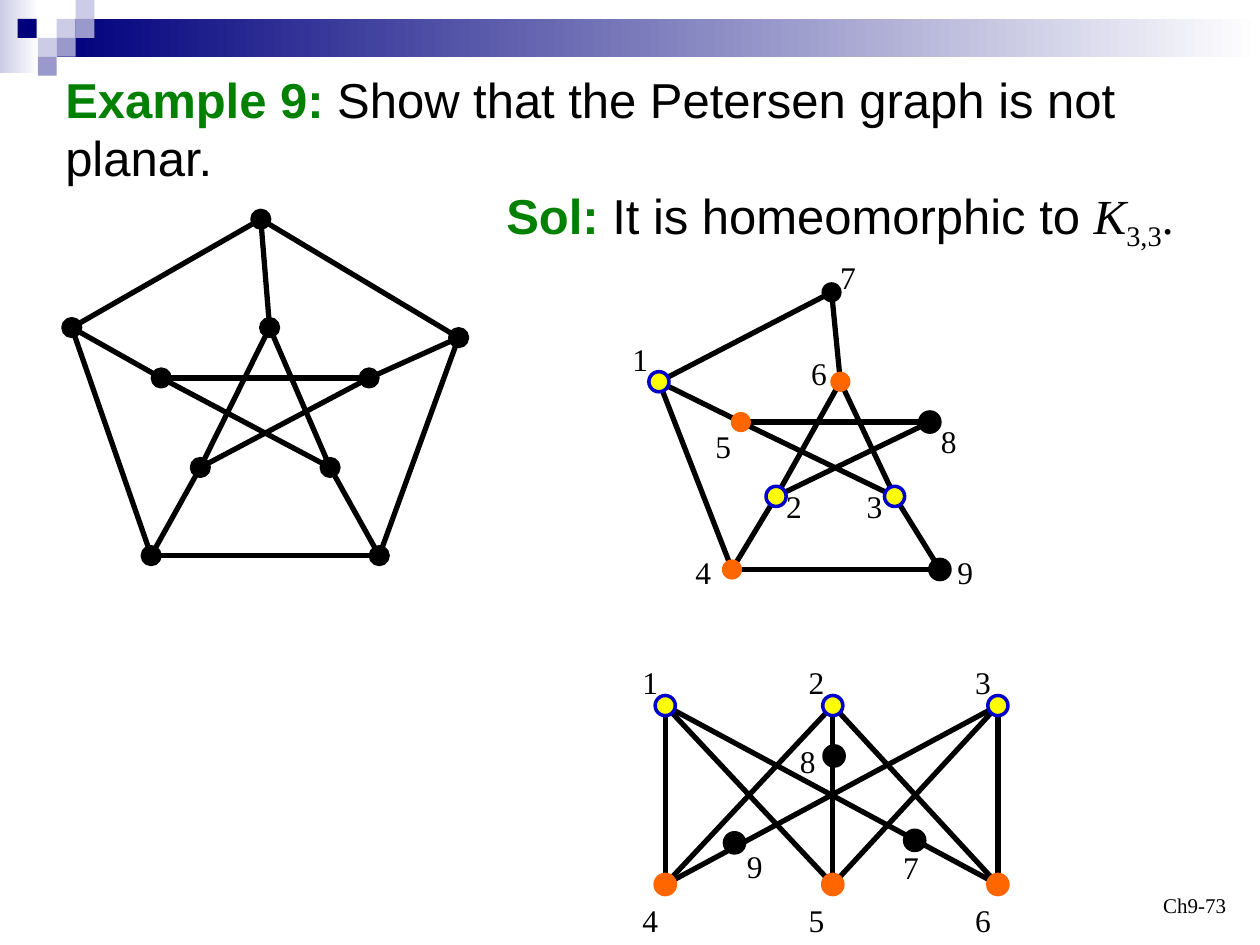
from itertools import product

from lxml.etree import SubElement
from pptx import Presentation
from pptx.dml.color import RGBColor
from pptx.enum.shapes import MSO_CONNECTOR, MSO_SHAPE
from pptx.enum.text import MSO_ANCHOR, PP_ALIGN
from pptx.oxml.ns import qn
from pptx.util import Inches, Pt

BLACK = RGBColor(0, 0, 0)
WHITE = RGBColor(255, 255, 255)
GREEN = RGBColor(0, 0x80, 0)
YELLOW = RGBColor(0xFF, 0xFF, 0)
BLUE = RGBColor(0, 0, 0xCC)
ORANGE = RGBColor(0xFF, 0x66, 0)
NAVY = RGBColor(0, 0, 0x7D)
PALE = RGBColor(0xCC, 0xCC, 0xE6)
LILAC = RGBColor(0x99, 0x99, 0xCC)
SANS, SERIF = "Arial", "Times New Roman"

# Header: left, top, width, height, start colour of the fade to white
BANDS = [(0, 0, 0.31, 0.58, PALE), (0.45, 0.15, 9.55, 0.3, NAVY)]
TILE = 0.15
TILES = [(0.45, 0.15, PALE), (0.6, 0, PALE), (0.6, 0.15, LILAC),
         (0.3, 0.3, PALE), (0.14, 0.15, NAVY), (0.45, 0.3, LILAC),
         (0.3, 0.45, LILAC)]

# Text runs: words, font, colour, bold, italic, baseline
TITLE = [("Example 9:", SANS, GREEN, True, False, 0),
         (" Show that the Petersen graph is not planar.",
          SANS, BLACK, False, False, 0)]
ANSWER = [("Sol: ", SANS, GREEN, True, False, 0),
          ("It is homeomorphic to ", SANS, BLACK, False, False, 0),
          ("K", SERIF, BLACK, False, True, 0),
          ("3,3", SERIF, BLACK, False, False, -25000),
          (".", SERIF, BLACK, False, False, 0)]

# Node styles: fill, outline
DARK, PLAIN = (BLACK, BLACK), (BLACK, None)
LIGHT = (YELLOW, BLUE)
WARM, RIMMED = (ORANGE, None), (ORANGE, ORANGE)

# Petersen graph, node centres clockwise from the top
OUTER = [(2.07, 1.74), (3.64, 2.68), (3.01, 4.41), (1.2, 4.41), (0.57, 2.6)]
INNER = [(2.14, 2.6), (2.93, 3), (2.62, 3.71), (1.59, 3.71), (1.28, 3)]

# Labelled graphs: name -> centre, style, corner of the label box
SUB = {
    "1": ((5.23, 3.03), LIGHT, (4.92, 2.65)),
    "2": ((6.16, 3.94), LIGHT, (6.14, 3.82)),
    "3": ((7.1, 3.94), LIGHT, (6.78, 3.82)),
    "4": ((5.81, 4.52), WARM, (5.42, 4.34)),
    "5": ((5.88, 3.35), WARM, (5.58, 3.34)),
    "6": ((6.67, 3.03), WARM, (6.34, 2.76)),
    "7": ((6.6, 2.32), PLAIN, (6.57, 2)),
    "8": ((7.38, 3.35), DARK, (7.37, 3.3)),
    "9": ((7.46, 4.52), DARK, (7.5, 4.34)),
}
SUB_EDGES = ["17", "76", "15", "14", "58", "53",
             "62", "63", "82", "24", "39", "49"]

COLS, TOP, BASE = (5.28, 6.61, 7.92), 5.6, 7.02
TAGS = (5, 6.32, 7.64)
K33 = {
    "7": ((7.26, 6.67), DARK, (7.07, 6.68)),
    "8": ((6.62, 6), DARK, (6.25, 5.84)),
    "9": ((5.83, 6.69), DARK, (5.83, 6.67)),
}
for i, (x, tag) in enumerate(zip(COLS, TAGS)):
    K33[str(i + 1)] = ((x, TOP), LIGHT, (tag, 5.21))
    K33[str(i + 4)] = ((x, BASE), RIMMED, (tag, 7.1))

prs = Presentation()
prs.slide_width, prs.slide_height = Inches(10), Inches(7.5)
slide = prs.slides.add_slide(prs.slide_layouts[6])
shapes = slide.shapes


def add_box(kind, x, y, w, h):
    box = shapes.add_shape(kind, Inches(x), Inches(y), Inches(w), Inches(h))
    box.shadow.inherit = False
    box.line.fill.background()
    return box


def paint(box, color):
    box.fill.solid()
    box.fill.fore_color.rgb = color


def add_text(x, y, w, h, runs, size, wrap=True):
    frame = shapes.add_textbox(
        Inches(x), Inches(y), Inches(w), Inches(h)).text_frame
    frame.word_wrap = wrap
    for words, face, color, bold, slant, shift in runs:
        run = frame.paragraphs[0].add_run()
        run.text = words
        font = run.font
        font.name, font.size, font.color.rgb = face, Pt(size), color
        font.bold, font.italic = bold, slant
        if shift:
            run._r.get_or_add_rPr().set("baseline", str(shift))
    return frame


def add_edge(start, end):
    ends = [Inches(v) for v in (*start, *end)]
    edge = shapes.add_connector(MSO_CONNECTOR.STRAIGHT, *ends)
    edge.line.color.rgb, edge.line.width = BLACK, Pt(3)
    SubElement(edge._element.spPr, qn("a:effectLst"))


def add_node(center, style, size):
    x, y = center
    fill, rim = style
    node = add_box(MSO_SHAPE.OVAL, x - size / 2, y - size / 2, size, size)
    paint(node, fill)
    if rim is not None:
        node.line.color.rgb, node.line.width = rim, Pt(2)


def plain(words):
    return [(words, SERIF, BLACK, False, False, 0)]


def add_graph(nodes, edges):
    for a, b in edges:
        add_edge(nodes[a][0], nodes[b][0])
    for name, (center, style, corner) in nodes.items():
        add_node(center, style, 0.16)
        add_text(*corner, 0.33, 0.4, plain(name), 18, wrap=False)


for *place, color in BANDS:
    band = add_box(MSO_SHAPE.RECTANGLE, *place)
    band.fill.gradient()
    band.fill.gradient_angle = 0
    for stop, shade in zip(band.fill.gradient_stops, (color, WHITE)):
        stop.color.rgb = shade
for x, y, color in TILES:
    paint(add_box(MSO_SHAPE.RECTANGLE, x, y, TILE, TILE), color)

page = add_text(7.5, 6.83, 2.33, 0.5, plain("Ch9-73"), 12)
page.vertical_anchor = MSO_ANCHOR.BOTTOM
page.paragraphs[0].alignment = PP_ALIGN.RIGHT

for i in range(5):
    add_edge(OUTER[i], OUTER[(i + 1) % 5])
    add_edge(OUTER[i], INNER[i])
    add_edge(INNER[i], INNER[(i + 2) % 5])
for center in OUTER + INNER:
    add_node(center, DARK, 0.14)

add_graph(SUB, SUB_EDGES)
add_text(0.42, 0.5, 9.17, 1.04, TITLE, 28)
add_text(3.92, 1.42, 5.56, 0.57, ANSWER, 28, wrap=False)
add_graph(K33, product("123", "456"))

prs.save("out.pptx")
